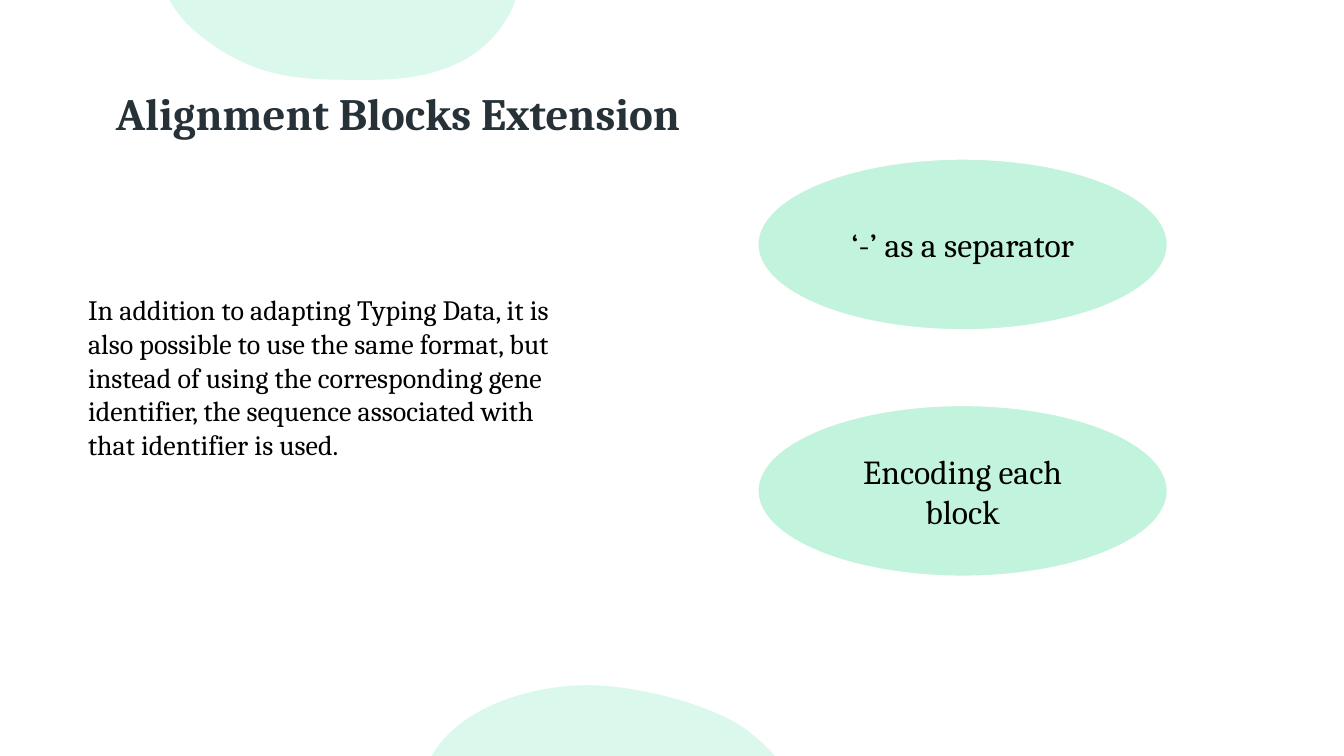
import math

import pptx
import pptx.dml.color
import pptx.enum.shapes
import pptx.enum.text
import pptx.oxml.ns
import pptx.util
from lxml import etree
from pptx.util import Cm

# Content: lengths in centimetres
FONT = "Cambria"
MINT, WHITE, BLACK, SLATE = "87E8BD", "FFFFFF", "000000", "263238"

title = "Alignment Blocks Extension"
title_box = (2.67, 1.63, 15.54, 2.13)

explanation = (
    "In addition to adapting Typing Data, it is also possible to use the same "
    "format, but instead of using the corresponding gene identifier, the "
    "sequence associated with that identifier is used."
)
explanation_box = (1.97, 7.25, 12.37, 4.52)

steps = ["‘-’ as a separator", "Encoding each block"]
step_left, step_top, step_width, step_height = 19.08, 3.99, 10.36, 4.34
step_pitch = 6.21

# Each outline: start point, then Bezier triples (control, control, end)
top_blob = {
    "frame": (3.81, -5.38, 9.27, 7.39),
    "turn": 0,
    "outline": [
        (4.34, -4.17),
        (4.34, -4.17), (4.98, -5.31), (6.32, -5.38),
        (7.65, -5.46), (8.13, -4.09), (9.09, -3.56),
        (9.6, -3.28), (10.64, -3.76), (11.18, -3.58),
        (12.9, -3.07), (13.54, -0.76), (12.78, 0.46),
        (12.14, 1.52), (11.02, 2.01), (9.35, 2.01),
        (7.65, 2.01), (6.48, 2.06), (4.98, 0.84),
        (3.48, -0.38), (3.63, -2.64), (4.34, -4.17),
    ],
}
bottom_blob = {
    "frame": (10.8, 17.04, 9.42, 6.71),
    "turn": 208.2,
    "outline": [
        (20.19, 21.11),
        (19.91, 23.06), (18.52, 23.83), (17.55, 23.62),
        (16.21, 23.34), (15.77, 21.51), (14.91, 21.29),
        (14.22, 21.08), (13.34, 22.53), (12.29, 22.35),
        (11, 22.15), (10.11, 20.55), (10.85, 19.1),
        (11.61, 17.68), (13.72, 17.22), (14.96, 17.27),
        (16.18, 17.3), (17.96, 17.78), (18.77, 18.36),
        (19.71, 19.05), (20.35, 19.96), (20.19, 21.11),
    ],
}


def color(hex_code):
    return pptx.dml.color.RGBColor.from_string(hex_code)


def add_tag(parent, tag, **attributes):
    return etree.SubElement(parent, pptx.oxml.ns.qn(tag), **attributes)


def paint(shape, fill, opacity, line=None, line_width=2):
    shape.shadow.inherit = False
    shape.fill.solid()
    shape.fill.fore_color.rgb = color(fill)
    tint = shape._element.spPr.find(".//" + pptx.oxml.ns.qn("a:srgbClr"))
    add_tag(tint, "a:alpha", val=str(opacity * 1000))
    if line:
        shape.line.color.rgb = color(line)
        shape.line.width = pptx.util.Pt(line_width)
    else:
        shape.line.fill.background()


def write(shape, text, size, ink=BLACK, bold=False, align="LEFT",
          anchor="TOP", margin=0.13, grow=False):
    frame = shape.text_frame
    frame.word_wrap = True
    if grow:
        frame.auto_size = pptx.enum.text.MSO_AUTO_SIZE.SHAPE_TO_FIT_TEXT
    frame.vertical_anchor = getattr(pptx.enum.text.MSO_ANCHOR, anchor)
    frame.margin_top = frame.margin_bottom = Cm(margin)
    paragraph = frame.paragraphs[0]
    paragraph.alignment = getattr(pptx.enum.text.PP_ALIGN, align)
    run = paragraph.add_run()
    run.text = text
    run.font.name = FONT
    run.font.size = pptx.util.Pt(size)
    run.font.bold = bold
    run.font.color.rgb = color(ink)


def add_blob(shapes, frame, turn, outline):
    """Draw a closed chain of cubic curves in a frame turned by some degrees."""
    left, top, width, height = frame
    cos, sin = math.cos(math.radians(turn)), math.sin(math.radians(turn))
    local = []
    for x, y in outline:
        dx, dy = x - left - width / 2, y - top - height / 2
        local.append((Cm(dx * cos + dy * sin + width / 2),
                      Cm(dy * cos - dx * sin + height / 2)))

    builder = shapes.build_freeform(*local[0])
    builder.add_line_segments(local[3::3], close=True)
    blob = builder.convert_to_shape()
    blob.left, blob.top, blob.width, blob.height = map(Cm, frame)
    blob.rotation = turn

    # Replace the straight segments by curves
    track = blob._element.spPr.find(".//" + pptx.oxml.ns.qn("a:path"))
    for segment in list(track):
        track.remove(segment)
    track.set("w", str(Cm(width)))
    track.set("h", str(Cm(height)))
    pieces = [("a:moveTo", local[:1])]
    pieces += [("a:cubicBezTo", local[i:i + 3])
               for i in range(1, len(local), 3)]
    for tag, points in pieces + [("a:close", [])]:
        segment = add_tag(track, tag)
        for x, y in points:
            add_tag(segment, "a:pt", x=str(int(x)), y=str(int(y)))
    return blob


deck = pptx.Presentation()
deck.slide_width, deck.slide_height = Cm(33.87), Cm(19.05)
slide = deck.slides.add_slide(deck.slide_layouts[6])
shapes = slide.shapes

# Background blobs
for blob in (top_blob, bottom_blob):
    paint(add_blob(shapes, **blob), MINT, 30)

# Title and explanation
write(shapes.add_textbox(*map(Cm, title_box)), title, 32, ink=SLATE,
      bold=True, anchor="BOTTOM", margin=0.25)
write(shapes.add_textbox(*map(Cm, explanation_box)), explanation, 20,
      grow=True)

# Step ellipses
for row, step in enumerate(steps):
    ellipse = shapes.add_shape(
        pptx.enum.shapes.MSO_SHAPE.OVAL,
        Cm(step_left), Cm(step_top + row * step_pitch),
        Cm(step_width), Cm(step_height))
    paint(ellipse, MINT, 50, line=WHITE)
    write(ellipse, step, 24, align="CENTER", anchor="MIDDLE")

deck.save("out.pptx")
